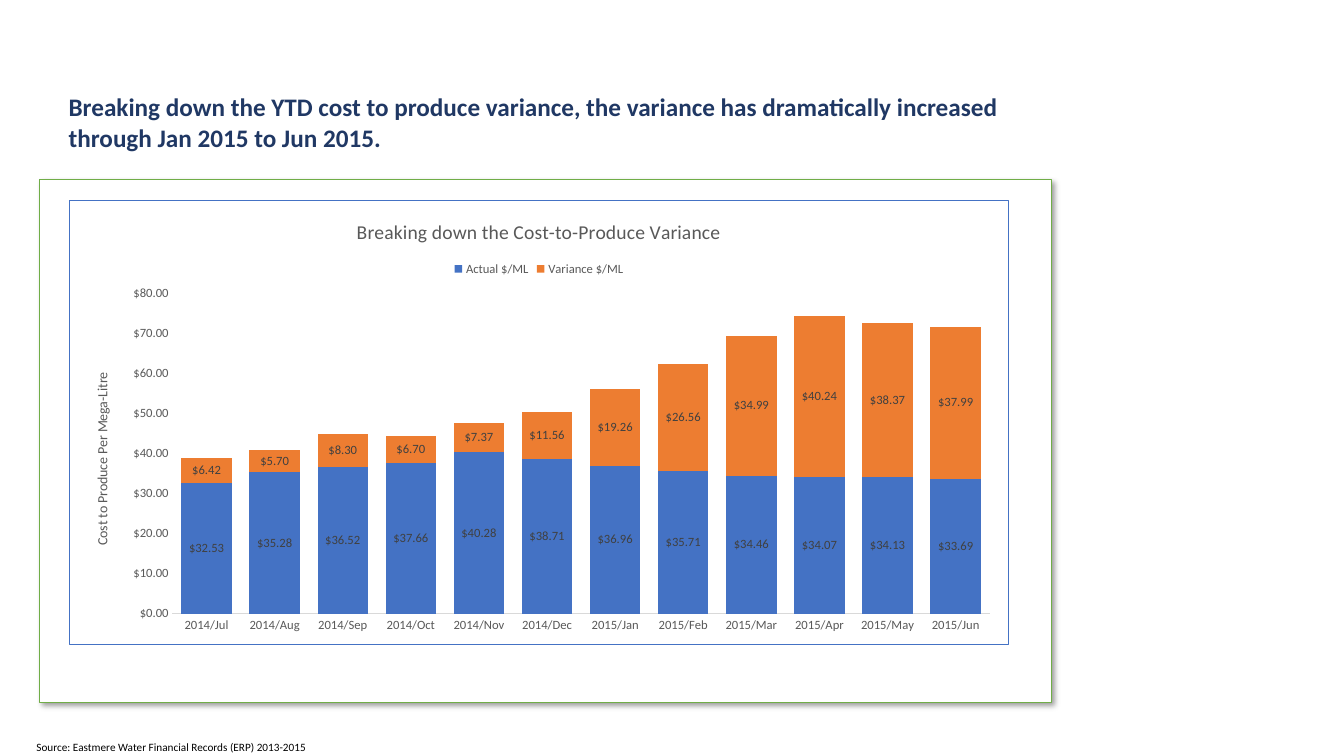
import pptx
import pptx.chart.data
import pptx.dml.color
import pptx.enum.chart
import pptx.enum.shapes
import pptx.enum.text
import pptx.oxml
import pptx.oxml.ns
import pptx.util

Cm = pptx.util.Cm
Pt = pptx.util.Pt
RGBColor = pptx.dml.color.RGBColor

WHITE = RGBColor(0xFF, 0xFF, 0xFF)
BLACK = RGBColor(0, 0, 0)
NAVY = RGBColor(0x20, 0x38, 0x64)
GREEN = RGBColor(0x70, 0xAD, 0x47)
BLUE = RGBColor(0x44, 0x72, 0xC4)
ORANGE = RGBColor(0xED, 0x7D, 0x31)
GREY = RGBColor(0x59, 0x59, 0x59)
DARK_GREY = RGBColor(0x40, 0x40, 0x40)
LIGHT_GREY = RGBColor(0xD9, 0xD9, 0xD9)

FONT = "Calibri"
DOLLARS = '"$"#,##0.00'
MONTHS = [
    "2014/Jul", "2014/Aug", "2014/Sep", "2014/Oct", "2014/Nov", "2014/Dec",
    "2015/Jan", "2015/Feb", "2015/Mar", "2015/Apr", "2015/May", "2015/Jun",
]
SERIES = [
    ("Actual $/ML", BLUE, [32.53, 35.28, 36.52, 37.66, 40.28, 38.71,
                           36.96, 35.71, 34.46, 34.07, 34.13, 33.69]),
    ("Variance $/ML", ORANGE, [6.42, 5.7, 8.3, 6.7, 7.37, 11.56,
                               19.26, 26.56, 34.99, 40.24, 38.37, 37.99]),
]


def set_font(font, size, color, bold=False):
    """Apply the slide's typeface with a size and colour."""
    font.name = FONT
    font.size = Pt(size)
    font.color.rgb = color
    font.bold = bold


def add_run(p, text, size, color, bold=False):
    """Append one formatted run to a paragraph."""
    r = p.add_run()
    r.text = text
    set_font(r.font, size, color, bold)


def add_box(slide, box, line):
    """Add a white rectangle with a thin outline."""
    sp = slide.shapes.add_shape(pptx.enum.shapes.MSO_SHAPE.RECTANGLE, *box)
    sp.shadow.inherit = False
    sp.fill.solid()
    sp.fill.fore_color.rgb = WHITE
    sp.line.color.rgb = line
    sp.line.width = Pt(1)
    return sp


def add_panel(slide, box):
    """Add the backing panel with its soft drop shadow."""
    sp = add_box(slide, box, GREEN)
    effects = sp.element.spPr.find(pptx.oxml.ns.qn("a:effectLst"))
    effects.append(pptx.oxml.parse_xml(
        f'<a:outerShdw {pptx.oxml.ns.nsdecls("a")} blurRad="{Pt(4)}" dist="{Pt(3)}" '
        'dir="2700000" algn="tl" rotWithShape="0"><a:srgbClr val="000000">'
        '<a:alpha val="40000"/></a:srgbClr></a:outerShdw>'))


def add_headline(slide, box, text):
    """Add the slide's headline."""
    tf = slide.shapes.add_textbox(*box).text_frame
    tf.word_wrap = True
    tf.margin_left = tf.margin_right = tf.margin_top = tf.margin_bottom = 0
    add_run(tf.paragraphs[0], text, 18, NAVY, True)


def add_source(slide, box, text):
    """Add the source line at the foot of the slide."""
    tf = add_box(slide, box, WHITE).text_frame
    tf.word_wrap = True
    tf.margin_top = tf.margin_bottom = 0
    tf.vertical_anchor = pptx.enum.text.MSO_ANCHOR.MIDDLE
    p = tf.paragraphs[0]
    p.alignment = pptx.enum.text.PP_ALIGN.CENTER
    add_run(p, text, 8, BLACK)


def style_axes(chart):
    """Format the month axis and the dollar axis."""
    for axis in (chart.category_axis, chart.value_axis):
        axis.has_major_gridlines = False
        axis.major_tick_mark = pptx.enum.chart.XL_TICK_MARK.NONE
        axis.minor_tick_mark = pptx.enum.chart.XL_TICK_MARK.NONE
        set_font(axis.tick_labels.font, 9, GREY)
    months, dollars = chart.category_axis, chart.value_axis
    months.format.line.color.rgb = LIGHT_GREY
    months.format.line.width = Pt(0.75)
    dollars.format.line.fill.background()
    dollars.minimum_scale, dollars.maximum_scale, dollars.major_unit = 0, 80, 10
    dollars.tick_labels.number_format = DOLLARS
    dollars.tick_labels.number_format_is_linked = False
    add_run(dollars.axis_title.text_frame.paragraphs[0],
            "Cost to Produce Per Mega-Litre", 10, GREY)


def frame_chart(chart, x, y, w, h):
    """Fix the inner plot area by fractions and outline the chart."""
    ns = pptx.oxml.ns.nsdecls("c", "a")
    qn = pptx.oxml.ns.qn
    plot_area = chart.element.find(".//" + qn("c:plotArea"))
    for layout in plot_area.findall(qn("c:layout")):
        plot_area.remove(layout)
    sizes = "".join(f'<c:{k} val="{v}"/>' for k, v in zip("xywh", (x, y, w, h)))
    plot_area.insert(0, pptx.oxml.parse_xml(
        f'<c:layout {ns}><c:manualLayout><c:layoutTarget val="inner"/>'
        f'<c:xMode val="edge"/><c:yMode val="edge"/>{sizes}'
        '</c:manualLayout></c:layout>'))
    chart.element.find(qn("c:chart")).addnext(pptx.oxml.parse_xml(
        f'<c:spPr {ns}><a:solidFill><a:srgbClr val="{WHITE}"/></a:solidFill>'
        f'<a:ln w="{Pt(0.75)}"><a:solidFill><a:srgbClr val="{BLUE}"/></a:solidFill>'
        '</a:ln></c:spPr>'))


def add_cost_chart(slide, box):
    """Add the stacked column chart of actual cost and variance."""
    data = pptx.chart.data.CategoryChartData(number_format=DOLLARS)
    data.categories = MONTHS
    for name, _, values in SERIES:
        data.add_series(name, values)
    chart = slide.shapes.add_chart(
        pptx.enum.chart.XL_CHART_TYPE.COLUMN_STACKED, *box, data).chart
    set_font(chart.font, 10, BLACK)
    add_run(chart.chart_title.text_frame.paragraphs[0],
            "Breaking down the Cost-to-Produce Variance", 14, GREY)
    chart.has_legend = True
    chart.legend.position = pptx.enum.chart.XL_LEGEND_POSITION.TOP
    chart.legend.include_in_layout = False
    set_font(chart.legend.font, 9, GREY)
    plot = chart.plots[0]
    plot.vary_by_categories = False
    plot.gap_width, plot.overlap = 35, 100
    for series, (_, color, _) in zip(plot.series, SERIES):
        series.format.fill.solid()
        series.format.fill.fore_color.rgb = color
        labels = series.data_labels
        labels.show_value = True
        labels.number_format = DOLLARS
        labels.number_format_is_linked = False
        set_font(labels.font, 9, DARK_GREY)
    style_axes(chart)
    frame_chart(chart, 0.11, 0.21, 0.87, 0.72)


def main():
    """Build and save the slide."""
    prs = pptx.Presentation()
    prs.slide_width, prs.slide_height = Cm(33.87), Cm(19.05)
    slide = prs.slides.add_slide(prs.slide_layouts[6])
    add_panel(slide, (Cm(1), Cm(4.53), Cm(25.5), Cm(13.18)))
    add_cost_chart(slide, (Cm(1.73), Cm(5.03), Cm(23.7), Cm(11.23)))
    add_headline(slide, (Cm(1.73), Cm(2.31), Cm(23.95), Cm(1.55)),
                 "Breaking down the YTD cost to produce variance, the variance has "
                 "dramatically increased through Jan 2015 to Jun 2015.")
    add_source(slide, (Cm(0), Cm(18.62), Cm(8.64), Cm(0.43)),
               "Source: Eastmere Water Financial Records (ERP) 2013-2015")
    prs.save("out.pptx")


if __name__ == "__main__":
    main()
